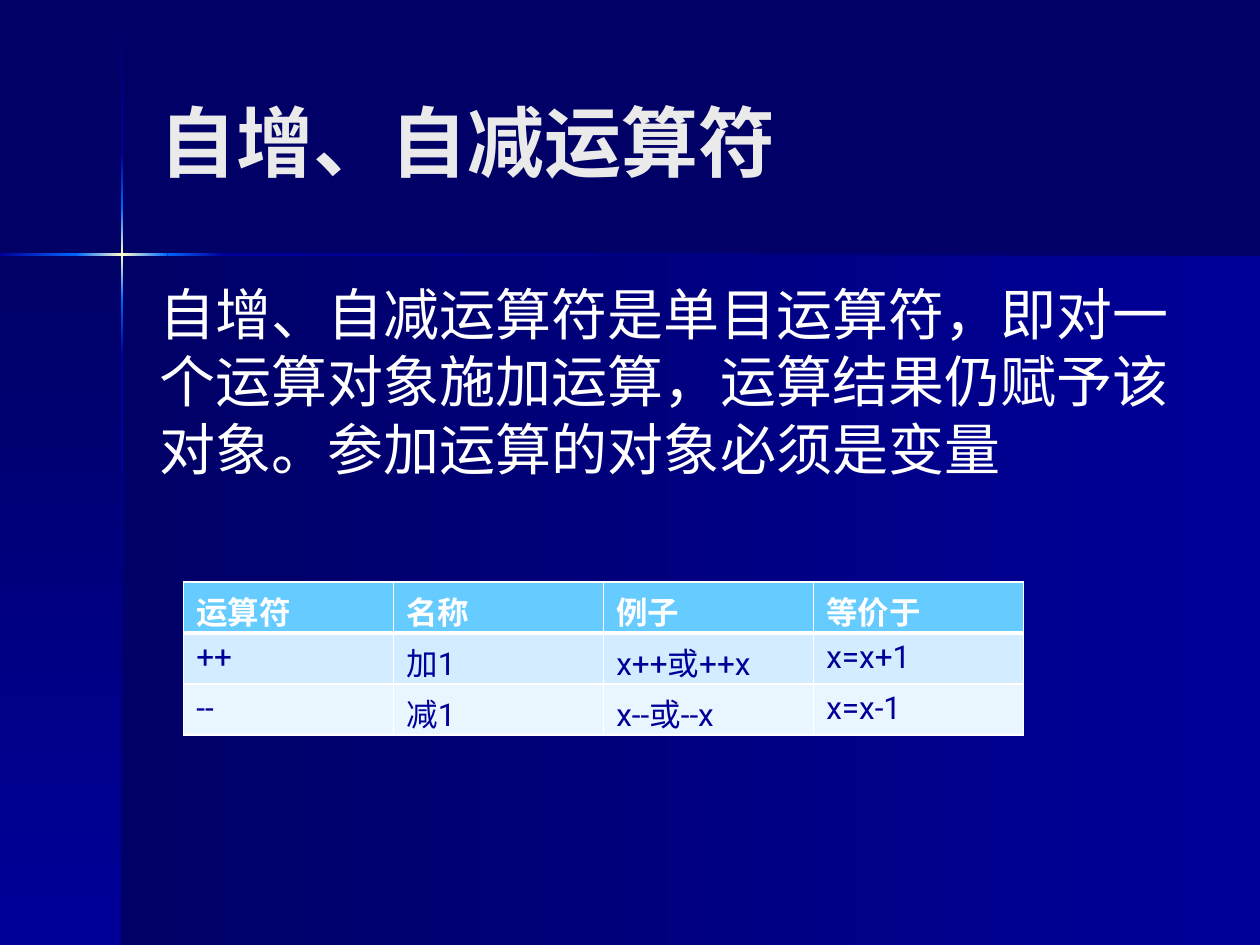
from itertools import pairwise

from lxml import etree
from pptx import Presentation
from pptx.dml.color import RGBColor
from pptx.enum import shapes, text
from pptx.oxml.ns import qn
from pptx.util import Pt

TITLE = "自增、自减运算符"
BODY = "自增、自减运算符是单目运算符，即对一个运算对象施加运算，运算结果仍赋予该对象。参加运算的对象必须是变量"
ROWS = [
    ("运算符", "名称", "例子", "等价于"),
    ("++", "加1", "x++或++x", "x=x+1"),
    ("--", "减1", "x--或--x", "x=x-1"),
]

THEME = {
    "font": "Roboto", "title_size": 44, "body_size": 32, "table_size": 18,
    "navy": "000066", "blue": "000099", "glow": "0066FF", "core": "FFFFCC",
    "title": "EAEAEA", "white": "FFFFFF",
    "row_fills": ["66CCFF", "D3ECFF", "EAF6FF"],
}

WIDTH, HEIGHT = 720, 540
CROSS_X, CROSS_Y = 69.84, 145.44
RAY = 1.44
FLARE = ["navy", "blue", "glow", "core", "glow", "blue", "navy"]
RAY_Y = [0.72, 87.1, 118.8, 171.4, 203, HEIGHT]
RAY_X = [0, 43.6, 95.8, 127.4, WIDTH]
RAY_COLORS = [("navy", "blue"), ("blue", "glow"), ("glow", "core", "glow"),
              ("glow", "blue"), ("blue", "navy")]
TEXT_X, TEXT_W = 84.24, 594
TABLE_X, TABLE_Y, COL_W, ROW_H = 105, 332.5, 120, 29.2


def rgb(value):
    return RGBColor.from_string(value)


def style(p, size, color, bold=False):
    f = p.font
    f.name, f.size, f.bold = THEME["font"], Pt(size), bold
    f.color.rgb = rgb(color)


def add_gradient(slide, x, y, w, h, names, angle):
    sp = slide.shapes.add_shape(shapes.MSO_SHAPE.RECTANGLE, Pt(x), Pt(y), Pt(w), Pt(h))
    sp.shadow.inherit = False
    sp.line.fill.background()
    sp.fill.gradient()
    sp.fill.gradient_angle = -angle % 360
    stops = sp._element.spPr.find(".//" + qn("a:gsLst"))
    for gs in list(stops):
        stops.remove(gs)
    for i, name in enumerate(names):
        gs = etree.SubElement(stops, qn("a:gs"), pos=str(i * 100000 // (len(names) - 1)))
        etree.SubElement(gs, qn("a:srgbClr"), val=THEME[name])


def add_text(slide, y, h, content, size, color, anchor, bold=False, before=0):
    tf = slide.shapes.add_textbox(Pt(TEXT_X), Pt(y), Pt(TEXT_W), Pt(h)).text_frame
    tf.word_wrap = True
    tf.vertical_anchor = anchor
    p = tf.paragraphs[0]
    p.text = content
    p.space_before = Pt(before)
    style(p, size, color, bold)


def set_borders(cell, top, bottom):
    tc_pr = cell._tc.get_or_add_tcPr()
    for i, (side, width) in enumerate(zip("LRTB", (1, 1, top, bottom))):
        ln = etree.Element(qn("a:ln" + side), w=str(Pt(width)))
        fill = etree.SubElement(ln, qn("a:solidFill"))
        etree.SubElement(fill, qn("a:srgbClr"), val=THEME["white"])
        tc_pr.insert(i, ln)


def add_operator_table(slide):
    n_rows, n_cols = len(ROWS), len(ROWS[0])
    table = slide.shapes.add_table(n_rows, n_cols, Pt(TABLE_X), Pt(TABLE_Y),
                                   Pt(COL_W * n_cols), Pt(ROW_H * n_rows)).table
    for r, row in enumerate(ROWS):
        header = r == 0
        for c, content in enumerate(row):
            cell = table.cell(r, c)
            cell.fill.solid()
            cell.fill.fore_color.rgb = rgb(THEME["row_fills"][r])
            set_borders(cell, 3 if r == 1 else 1, 3 if header else 1)
            p = cell.text_frame.paragraphs[0]
            p.text = content
            style(p, THEME["table_size"], THEME["white" if header else "blue"], header)


def main():
    prs = Presentation()
    prs.slide_width, prs.slide_height = Pt(WIDTH), Pt(HEIGHT)
    slide = prs.slides.add_slide(prs.slide_layouts[6])
    slide.background.fill.solid()
    slide.background.fill.fore_color.rgb = rgb(THEME["navy"])

    panel = ("navy", "blue")
    add_gradient(slide, CROSS_X, CROSS_Y, WIDTH - CROSS_X, HEIGHT - CROSS_Y, panel, 0)
    add_gradient(slide, 0, CROSS_Y, CROSS_X, HEIGHT - CROSS_Y, panel, 90)
    for (start, end), names in zip(pairwise(RAY_Y), RAY_COLORS):
        add_gradient(slide, CROSS_X - RAY / 2, start, RAY, end - start, names, 90)
    for (start, end), names in zip(pairwise(RAY_X), RAY_COLORS[1:]):
        add_gradient(slide, start, CROSS_Y - RAY / 2, end - start, RAY, names, 0)

    add_text(slide, 23.76, 113, TITLE, THEME["title_size"], THEME["title"],
             text.MSO_ANCHOR.MIDDLE, bold=True)
    add_text(slide, 156.24, 324, BODY, THEME["body_size"], THEME["white"],
             text.MSO_ANCHOR.TOP, before=6.4)
    add_operator_table(slide)
    prs.save("out.pptx")


if __name__ == "__main__":
    main()
